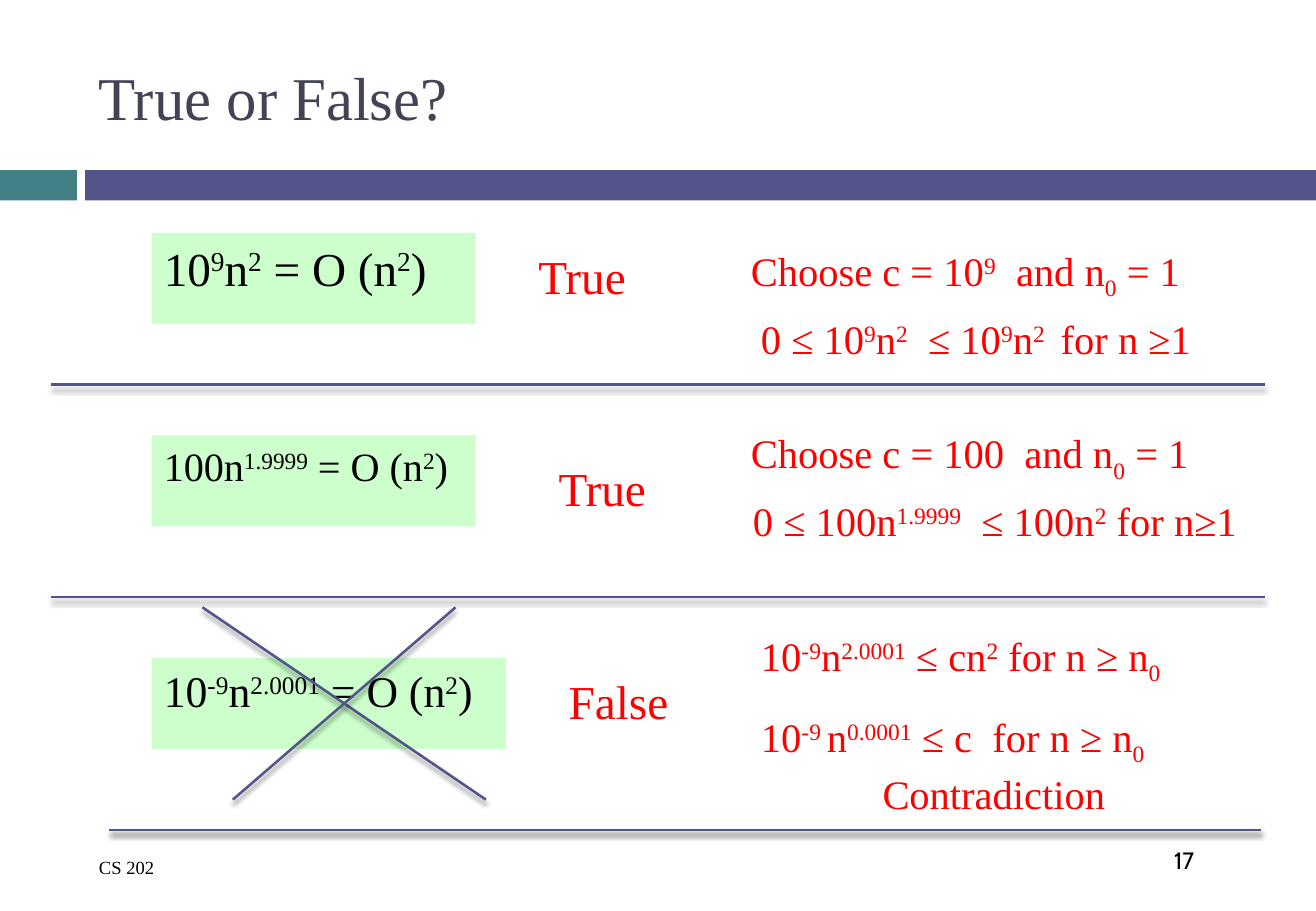
"""Build the slide that checks three big-O claims."""
from lxml import etree
from pptx import Presentation
from pptx import util as u
from pptx.dml.color import RGBColor
from pptx.enum import shapes, text
from pptx.oxml.ns import qn

COLUMNS, ROWS = 130, 90
CELL = u.Inches(1 / 12)
SERIF = "Times New Roman"
COLORS = {
    "teal": "438086",
    "indigo": "53548A",
    "title": "424456",
    "claim": "CCFFCC",
    "answer": "FF0000",
    "ink": "000000",
}
BASELINES = {"^": "30000", "_": "-25000"}

CLAIMS = [
    ("10|^9|n|^2| = O (n|^2|)", 23, 32, 28),
    ("100n|^1.9999| = O (n|^2|)", 43, 32, 23.8),
    ("10|^-9|n|^2.0001| = O (n|^2|)", 65, 35, 25.9),
]
VERDICTS = [("True", 52, 21, 11.3), ("True", 54, 42, 11.3), ("False", 55, 63, 12.4)]
REASONS = [
    ("Choose c = 10|^9|  and n|_0| = 1", 73, 21, 45.6),
    ("0 ≤ 10|^9|n|^2|  ≤ 10|^9|n|^2 | for n ≥1", 74, 28, 46.8),
    ("Choose c = 100  and n|_0| = 1", 73, 39, 46.2),
    ("0 ≤ 100n|^1.9999|  ≤ 100n|^2| for n≥1", 73.2, 46, 52.4),
    ("10|^-9|n|^2.0001| ≤ cn|^2| for n ≥ n|_0", 74, 59, 43.9),
    ("10|^-9 |n|^0.0001| ≤ c  for n ≥ n|_0", 74, 67, 42.2),
    ("Contradiction", 86, 73, 24.6),
]
DIVIDERS = [(5, 38, 125, 38), (5, 59, 125, 59), (10.8, 82, 124.6, 82)]
CROSS = [(20, 60, 48, 79), (45, 60, 23, 79)]


def grid(*cells):
    """Turn grid cells into lengths."""
    return [round(cell * CELL) for cell in cells]


def color(name):
    """Look up a named colour."""
    return RGBColor.from_string(COLORS[name])


def write(box, content, size, ink="ink", font=SERIF, before=0, spacing=None,
          wrap=True, anchor=text.MSO_ANCHOR.TOP):
    """Fill a box with one paragraph, where ^ raises and _ lowers a piece."""
    frame = box.text_frame
    frame.word_wrap = wrap
    frame.vertical_anchor = anchor
    para = frame.paragraphs[0]
    para.alignment = text.PP_ALIGN.LEFT
    para.space_before = u.Pt(before)
    para.line_spacing = spacing
    for piece in content.split("|"):
        span = para.add_run()
        span.text = piece.lstrip("^_")
        span.font.size = u.Pt(size)
        span.font.name = font
        span.font.color.rgb = color(ink)
        if piece[0] in BASELINES:
            span._r.get_or_add_rPr().set("baseline", BASELINES[piece[0]])


def add_label(page, place, content, size, **style):
    """Add a text box."""
    write(page.shapes.add_textbox(*grid(*place)), content, size, **style)


def add_block(page, place, fill):
    """Add a plain filled rectangle."""
    block = page.shapes.add_shape(shapes.MSO_SHAPE.RECTANGLE, *grid(*place))
    block.shadow.inherit = False
    block.fill.solid()
    block.fill.fore_color.rgb = color(fill)
    block.line.fill.background()
    return block


def add_rule(page, ends):
    """Add a straight line with a soft shadow below it."""
    rule = page.shapes.add_connector(shapes.MSO_CONNECTOR.STRAIGHT, *grid(*ends))
    rule.line.color.rgb = color("indigo")
    rule.line.width = u.Pt(1.5)
    effects = etree.SubElement(rule._element.spPr, qn("a:effectLst"))
    shadow = etree.SubElement(effects, qn("a:outerShdw"), blurRad=str(u.Pt(3)),
                              dist=str(u.Pt(2.4)), dir="5400000", rotWithShape="0")
    tint = etree.SubElement(shadow, qn("a:srgbClr"), val=COLORS["ink"])
    etree.SubElement(tint, qn("a:alpha"), val="45000")


def add_answer(page, content, left, top, width, height, size):
    """Add a red one-line answer."""
    add_label(page, (left, top, width, height), content, size, ink="answer",
              before=size * 0.2, spacing=1.5, wrap=False)


def main():
    """Build and save the deck."""
    deck = Presentation()
    deck.slide_width, deck.slide_height = grid(COLUMNS, ROWS)
    page = deck.slides.add_slide(deck.slide_layouts[6])

    add_block(page, (0, 16.8, 7.6, 3), "teal")
    add_block(page, (8.4, 16.8, COLUMNS - 8.4, 3), "indigo")
    add_label(page, (8.6, 3, 116, 13), "True or False?", 36, ink="title",
              anchor=text.MSO_ANCHOR.MIDDLE)
    add_label(page, (114.8, 83, 9.7, 6), "17", 14, font="Cabin")
    add_label(page, (8.6, 84, 23.9, 3.5), "CS 202", 11)

    for claim, top, width, size in CLAIMS:
        write(add_block(page, (15, top, width, 9), "claim"), claim, size, before=7)
    for verdict in VERDICTS:
        add_answer(page, *verdict, height=9.7, size=28)
    for reason in REASONS:
        add_answer(page, *reason, height=8.5, size=24)
    for ends in DIVIDERS + CROSS:
        add_rule(page, ends)
    deck.save("out.pptx")


if __name__ == "__main__":
    main()
